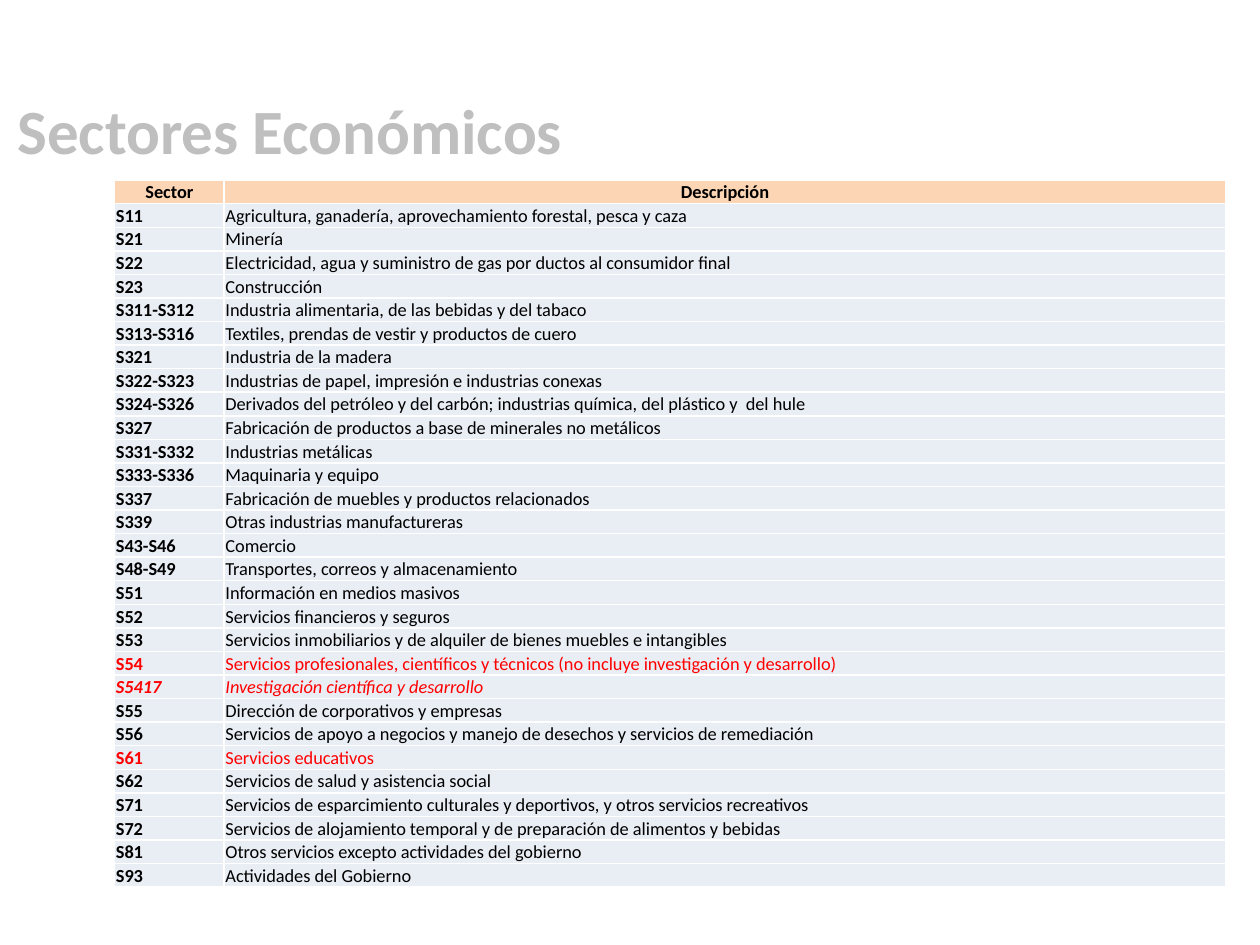
from typing import NamedTuple

from lxml import etree
from pptx import Presentation
from pptx.dml.color import RGBColor
from pptx.enum.text import MSO_ANCHOR, MSO_AUTO_SIZE, PP_ALIGN
from pptx.oxml.ns import qn
from pptx.util import Inches, Pt

BOTTOM = MSO_ANCHOR.BOTTOM
FIT_SHAPE = MSO_AUTO_SIZE.SHAPE_TO_FIT_TEXT
LEFT, CENTER = PP_ALIGN.LEFT, PP_ALIGN.CENTER
FONT = "Calibri"
COLORS = {
    "title": "BFBFBF",
    "header": "FCD5B5",
    "body": "E9EDF4",
    "border": "FFFFFF",
    "text": "000000",
    "highlight": "FF0000",
}


class Sector(NamedTuple):
    code: str
    description: str
    color: str = "text"
    italic: bool = False


SECTORS = [
    Sector("S11", "Agricultura, ganadería, aprovechamiento forestal, pesca y caza"),
    Sector("S21", "Minería"),
    Sector("S22", "Electricidad, agua y suministro de gas por ductos al consumidor final"),
    Sector("S23", "Construcción"),
    Sector("S311-S312", "Industria alimentaria, de las bebidas y del tabaco"),
    Sector("S313-S316", "Textiles, prendas de vestir y productos de cuero"),
    Sector("S321", "Industria de la madera"),
    Sector("S322-S323", "Industrias de papel, impresión e industrias conexas"),
    Sector("S324-S326", "Derivados del petróleo y del carbón; industrias química, del plástico y  del hule"),
    Sector("S327", "Fabricación de productos a base de minerales no metálicos"),
    Sector("S331-S332", "Industrias metálicas"),
    Sector("S333-S336", "Maquinaria y equipo"),
    Sector("S337", "Fabricación de muebles y productos relacionados"),
    Sector("S339", "Otras industrias manufactureras"),
    Sector("S43-S46", "Comercio"),
    Sector("S48-S49", "Transportes, correos y almacenamiento"),
    Sector("S51", "Información en medios masivos"),
    Sector("S52", "Servicios financieros y seguros"),
    Sector("S53", "Servicios inmobiliarios y de alquiler de bienes muebles e intangibles"),
    Sector("S54", "Servicios profesionales, científicos y técnicos (no incluye investigación y desarrollo)", "highlight"),
    Sector("S5417", "Investigación científica y desarrollo", "highlight", True),
    Sector("S55", "Dirección de corporativos y empresas"),
    Sector("S56", "Servicios de apoyo a negocios y manejo de desechos y servicios de remediación"),
    Sector("S61", "Servicios educativos", "highlight"),
    Sector("S62", "Servicios de salud y asistencia social"),
    Sector("S71", "Servicios de esparcimiento culturales y deportivos, y otros servicios recreativos"),
    Sector("S72", "Servicios de alojamiento temporal y de preparación de alimentos y bebidas"),
    Sector("S81", "Otros servicios excepto actividades del gobierno"),
    Sector("S93", "Actividades del Gobierno"),
]


def style_font(font, size: float, color: str, bold: bool, italic: bool = False) -> None:
    font.name = FONT
    font.size = Pt(size)
    font.bold = bold
    font.italic = italic
    font.color.rgb = RGBColor.from_string(COLORS[color])


def add_borders(cell) -> None:
    properties = cell._tc.get_or_add_tcPr()
    for side in ("a:lnL", "a:lnR", "a:lnT", "a:lnB"):
        line = etree.SubElement(properties, qn(side), w=str(Pt(1)))
        fill = etree.SubElement(line, qn("a:solidFill"))
        etree.SubElement(fill, qn("a:srgbClr"), val=COLORS["border"])


def fill_cell(cell, text: str, fill: str, align, color: str, bold: bool, italic: bool) -> None:
    cell.margin_left = cell.margin_right = cell.margin_top = Inches(0.01)
    cell.margin_bottom = Inches(0)
    cell.vertical_anchor = BOTTOM
    add_borders(cell)
    cell.fill.solid()
    cell.fill.fore_color.rgb = RGBColor.from_string(COLORS[fill])
    para = cell.text_frame.paragraphs[0]
    para.text = text
    para.alignment = align
    style_font(para.runs[0].font, 10.5, color, bold, italic)


def add_sector_table(page) -> None:
    rows = [Sector("Sector", "Descripción"), *SECTORS]
    table = page.shapes.add_table(
        len(rows), 2, Inches(0.91), Inches(1.43), Inches(8.82), Inches(5.47)
    ).table
    for column, width in zip(table.columns, (0.87, 7.95)):
        column.width = Inches(width)
    for index, sector in enumerate(rows):
        is_header = index == 0
        fill, align = ("header", CENTER) if is_header else ("body", LEFT)
        for column, text in enumerate((sector.code, sector.description)):
            bold = is_header or column == 0
            fill_cell(table.cell(index, column), text, fill, align,
                      sector.color, bold, sector.italic)


def add_title(page) -> None:
    box = page.shapes.add_textbox(Inches(0.04), Inches(0.68), Inches(4.57), Inches(0.71))
    frame = box.text_frame
    frame.word_wrap = False
    frame.auto_size = FIT_SHAPE
    frame.text = "Sectores Económicos"
    style_font(frame.paragraphs[0].runs[0].font, 36, "title", True)


def main() -> None:
    deck = Presentation()
    deck.slide_width, deck.slide_height = Inches(10), Inches(7.5)
    page = deck.slides.add_slide(deck.slide_layouts[6])
    # Sector list
    add_sector_table(page)
    # Heading
    add_title(page)
    deck.save("out.pptx")


if __name__ == "__main__":
    main()
